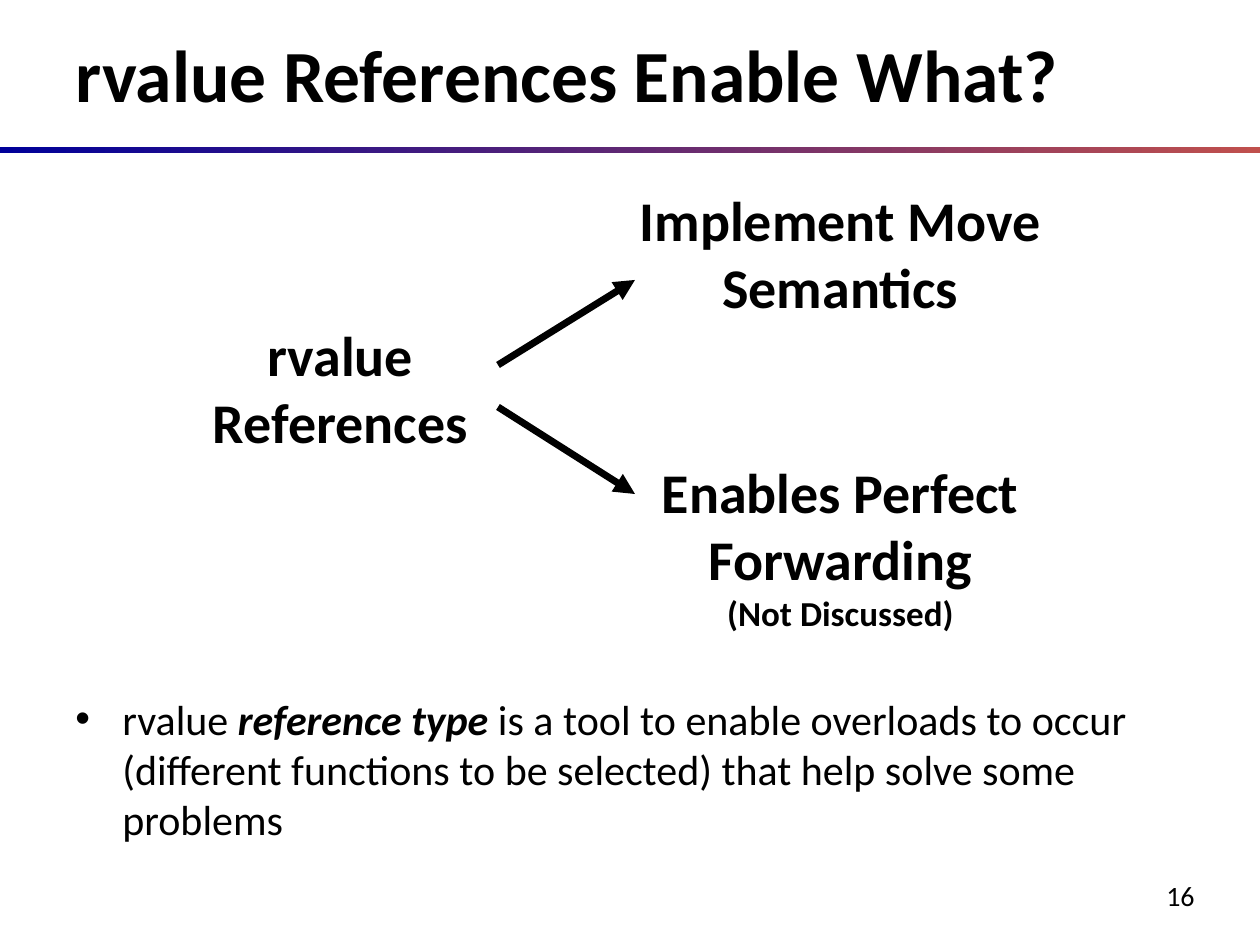
from lxml import etree
from pptx import Presentation, util as u
from pptx.dml.color import RGBColor
from pptx.enum import shapes, text
from pptx.oxml.ns import qn

BLACK = RGBColor(0x00, 0x00, 0x00)
NAVY = RGBColor(0x00, 0x00, 0x99)
BRICK = RGBColor(0xC0, 0x50, 0x4D)
LEFT, CENTER, RIGHT = text.PP_ALIGN.LEFT, text.PP_ALIGN.CENTER, text.PP_ALIGN.RIGHT
TOP, MIDDLE = text.MSO_ANCHOR.TOP, text.MSO_ANCHOR.MIDDLE
BOLD = {"bold": True}


def px(n):
    return u.Emu(round(n * 914400 / 126))


class SlideBuilder:
    """Holds the slide and its text style, and draws each kind of element."""

    def __init__(self, s, font="Calibri", color=BLACK):
        self.s, self.font, self.color = s, font, color

    def gradient_bar(self, x, y, w, h, colors):
        sp = self.s.shapes.add_shape(shapes.MSO_SHAPE.RECTANGLE, *map(px, (x, y, w, h)))
        sp.shadow.inherit = False
        sp.line.fill.background()
        sp.fill.gradient()
        sp.fill.gradient_angle = 0
        for stop, color in zip(sp.fill.gradient_stops, colors):
            stop.color.rgb = color

    def text(self, x, y, w, h, runs, size, align=LEFT, anchor=TOP):
        tf = self.s.shapes.add_textbox(*map(px, (x, y, w, h))).text_frame
        tf.word_wrap = True
        tf.vertical_anchor = anchor
        p = tf.paragraphs[0]
        p.alignment = align
        for words, style in runs:
            for i, line in enumerate(words.split("\n")):
                if i:
                    p.add_line_break()
                if line:
                    r = p.add_run()
                    r.text = line
                    r.font.color.rgb = self.color
                    fmt = {"name": self.font, "size": u.Pt(size), **style}
                    for key, value in fmt.items():
                        setattr(r.font, key, value)
        return p

    def bullet(self, x, y, w, h, runs, size, indent):
        pPr = self.text(x, y, w, h, runs, size)._p.get_or_add_pPr()
        pPr.set("marL", str(px(indent)))
        pPr.set("indent", str(-px(indent)))
        etree.SubElement(pPr, qn("a:buFont"), typeface="Arial")
        etree.SubElement(pPr, qn("a:buChar"), char="•")

    def arrow(self, x1, y1, x2, y2, width):
        c = self.s.shapes.add_connector(
            shapes.MSO_CONNECTOR.STRAIGHT, *map(px, (x1, y1, x2, y2)))
        c.line.color.rgb = self.color
        c.line.width = u.Pt(width)
        etree.SubElement(c.line._get_or_add_ln(), qn("a:tailEnd"), type="triangle")
        etree.SubElement(c._element.spPr, qn("a:effectLst"))


def main():
    prs = Presentation()
    prs.slide_width, prs.slide_height = px(1260), px(945)
    b = SlideBuilder(prs.slides.add_slide(prs.slide_layouts[6]))

    b.gradient_bar(0, 147, 1260, 6, (NAVY, BRICK))
    b.text(1081, 872, 126, 47, [("16", {})], 16, RIGHT)
    b.text(63, 21, 1144, 105, [("rvalue References Enable What?", BOLD)], 42, anchor=MIDDLE)
    b.bullet(63, 687, 1134, 175, [
        ("rvalue ", {}),
        ("reference type ", {"bold": True, "italic": True}),
        ("is a tool to enable overloads to occur (different functions to be "
         "selected) that help solve some problems", {}),
    ], 24, 47)

    not_discussed = ("(Not Discussed)", {"bold": True, "size": u.Pt(20)})
    for x, y, w, h, runs in (
        (183, 314, 315, 149, [("rvalue\nReferences", BOLD)]),
        (620, 179, 441, 149, [("Implement Move Semantics", BOLD)]),
        (620, 451, 441, 190, [("Enables Perfect Forwarding\n", BOLD), not_discussed]),
    ):
        b.text(x, y, w, h, runs, 32, CENTER)

    for start, end in ((365, 280), (407, 494)):
        b.arrow(498, start, 635, end, 4)

    prs.save("out.pptx")


if __name__ == "__main__":
    main()
